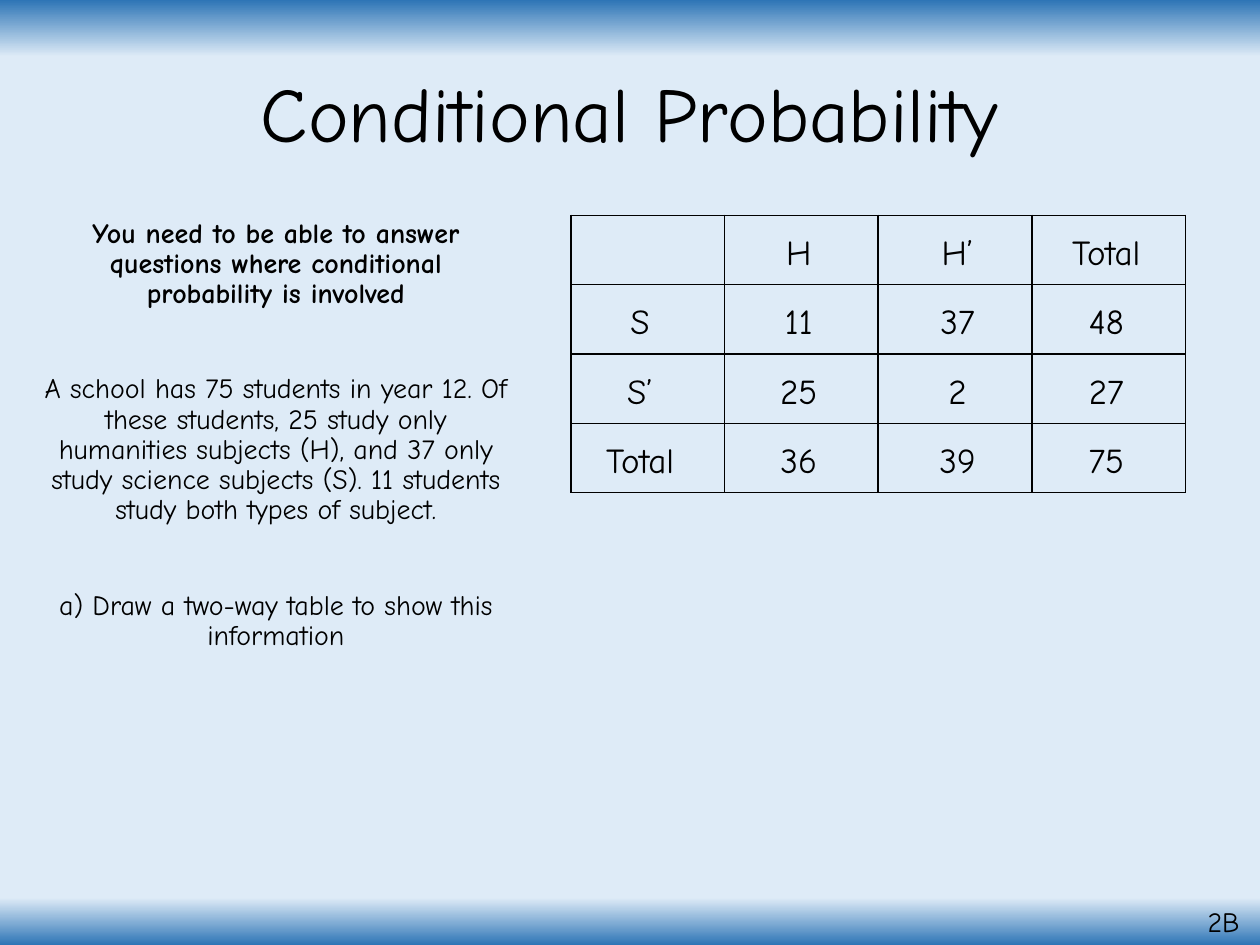
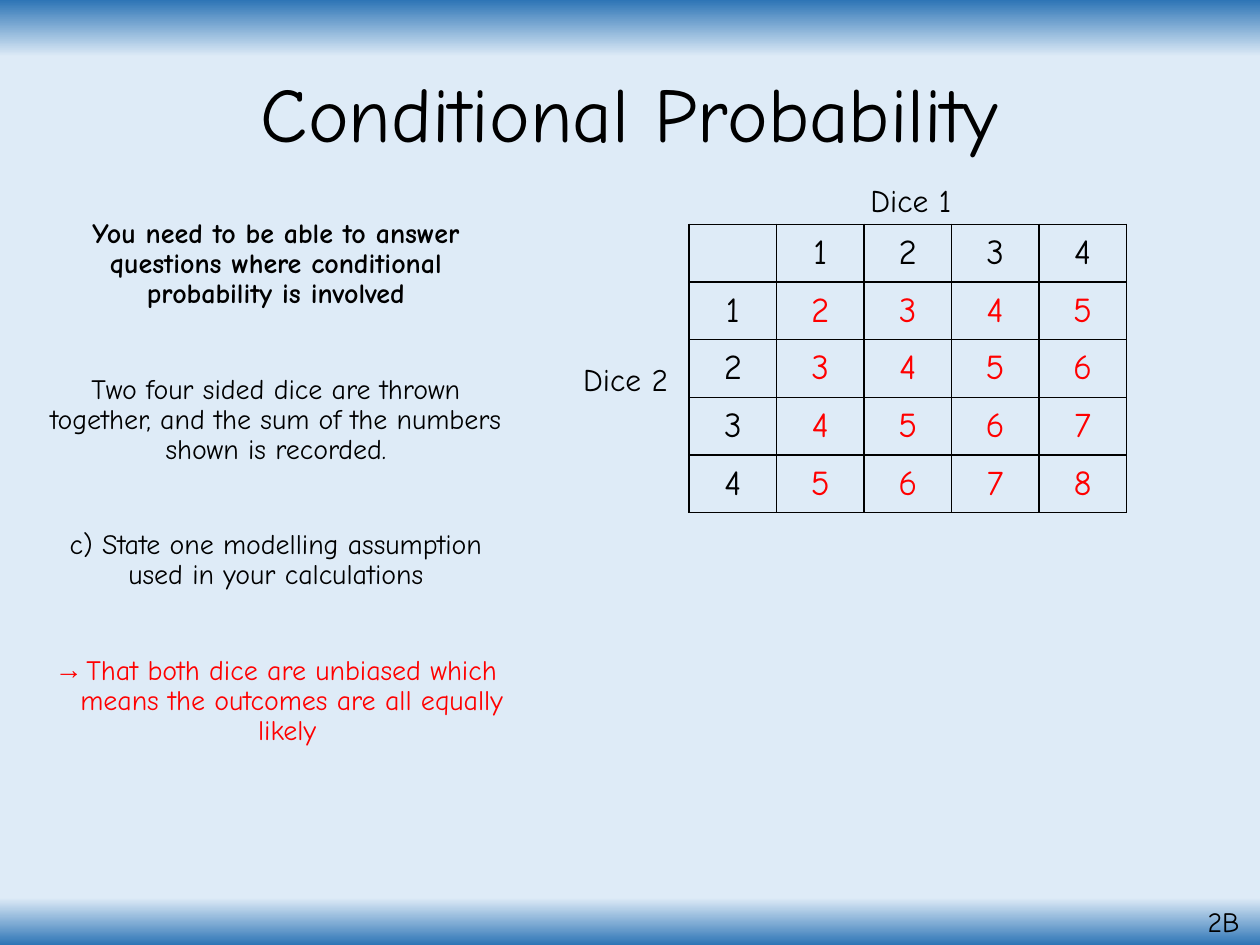
from dataclasses import dataclass

from lxml import etree
from pptx import Presentation
from pptx.dml.color import RGBColor
from pptx.enum import text as t
from pptx.oxml import ns
from pptx.util import Inches, Pt


@dataclass(frozen=True)
class Theme:
    font: str = "Comic Neue"
    bullet_font: str = "Arial"
    ink: str = "000000"
    answer: str = "FF0000"
    edge: str = "2E75B6"
    page: str = "DEEBF7"
    title: int = 44
    cell: int = 20
    label: int = 18
    body: int = 16
    line_spacing: float = 0.9
    first_gap: float = 10
    para_gap: float = 37.2
    border: float = 1


THEME = Theme()
CENTER, LEFT = t.PP_ALIGN.CENTER, t.PP_ALIGN.LEFT


@dataclass(frozen=True)
class Box:
    left: float
    top: float
    width: float
    height: float

    def emu(self) -> list:
        return [Inches(v) for v in (self.left, self.top, self.width, self.height)]


@dataclass(frozen=True)
class Para:
    text: str
    size: int = THEME.body
    bold: bool = False
    color: str = THEME.ink
    align: t.PP_ALIGN = CENTER
    bullet: str = ""


@dataclass(frozen=True)
class Grid:
    box: Box
    rows: list
    value_color: str = THEME.ink


@dataclass(frozen=True)
class Label:
    box: Box
    para: Para
    wrap: bool = False


@dataclass(frozen=True)
class Lesson:
    question: list
    body_height: float
    grid: Grid
    labels: list


def sub(parent, tag: str, **attrs):
    return etree.SubElement(parent, ns.qn(tag), attrs)


def set_format(obj, values: dict) -> None:
    for name, value in values.items():
        setattr(obj, name, value)


def write(p, para: Para, **spacing) -> None:
    set_format(p, {"alignment": para.align, **spacing})
    r = p.add_run()
    r.text = para.text
    set_format(r.font, {"name": THEME.font, "size": Pt(para.size), "bold": para.bold})
    r.font.color.rgb = RGBColor.from_string(para.color)
    if para.bullet:
        pPr = p._p.get_or_add_pPr()
        pPr.set("marL", str(Inches(0.25)))
        pPr.set("indent", str(Inches(-0.25)))
        sub(pPr, "a:buFont", typeface=THEME.bullet_font)
        sub(pPr, "a:buChar", char=para.bullet)


def add_text(s, box: Box, paras: list, wrap: bool = True, anchor=t.MSO_ANCHOR.TOP,
             line_spacing: float = THEME.line_spacing, first_gap: float = THEME.first_gap) -> None:
    tf = s.shapes.add_textbox(*box.emu()).text_frame
    set_format(tf, {"word_wrap": wrap, "vertical_anchor": anchor})
    for i, para in enumerate(paras):
        p = tf.add_paragraph() if i else tf.paragraphs[0]
        gap = THEME.para_gap if i else first_gap
        write(p, para, line_spacing=line_spacing, space_before=Pt(gap))


def add_borders(cell) -> None:
    tcPr = cell._tc.get_or_add_tcPr()
    for i, side in enumerate(("a:lnL", "a:lnR", "a:lnT", "a:lnB")):
        ln = sub(tcPr, side, w=str(Pt(THEME.border)))
        sub(sub(ln, "a:solidFill"), "a:srgbClr", val=THEME.ink)
        tcPr.insert(i, ln)  # borders must precede the fill


def add_grid(s, grid: Grid) -> None:
    """Draw a two-way table; cells below and right of the headers use value_color."""
    rows = grid.rows
    table = s.shapes.add_table(len(rows), len(rows[0]), *grid.box.emu()).table
    set_format(table, {"first_row": False, "horz_banding": False})
    for i, row in enumerate(rows):
        for j, value in enumerate(row):
            cell = table.cell(i, j)
            cell.vertical_anchor = t.MSO_ANCHOR.MIDDLE
            cell.fill.background()
            add_borders(cell)
            if value:
                color = grid.value_color if i and j else THEME.ink
                write(cell.text_frame.paragraphs[0], Para(str(value), THEME.cell, color=color))


def entry_labels(rows: list, centers: tuple, top: float, pitch: float) -> list:
    """Place one movable label over each filled position of an empty grid."""
    labels = []
    for i, row in enumerate(rows):
        for center, value in zip(centers, row):
            if value:
                word = str(value)
                width = 1.01 if word == "Total" else 0.79 if word.isdigit() else 0.47
                box = Box(center - width / 2, top + i * pitch, width, 0.44)
                labels.append(Label(box, Para(word, THEME.cell), wrap=True))
    return labels


def set_background(master) -> None:
    fill = master.background.fill
    fill.gradient()
    fill.gradient_angle = 270
    stops = master.element.find(".//" + ns.qn("a:gsLst"))
    stops.clear()
    for pos, color in ((0, THEME.edge), (6, THEME.page), (95, THEME.page), (100, THEME.edge)):
        sub(sub(stops, "a:gs", pos=str(pos * 1000)), "a:srgbClr", val=color)


def add_lesson(prs, lesson: Lesson) -> None:
    s = prs.slides.add_slide(prs.slide_layouts[6])
    add_text(s, Box(0.69, 0.21, 8.62, 1.45), [Para("Conditional Probability", THEME.title)],
             anchor=t.MSO_ANCHOR.MIDDLE, first_gap=0)
    aim = Para("You need to be able to answer questions where conditional probability is involved",
               bold=True)
    add_text(s, Box(0.25, 1.69, 3.88, lesson.body_height), [aim, *lesson.question])
    add_text(s, Box(9.42, 7.16, 0.58, 0.34), [Para("2B")])
    add_grid(s, lesson.grid)
    for label in lesson.labels:
        add_text(s, label.box, [label.para], wrap=label.wrap, line_spacing=1.0, first_gap=0)


FACES = range(1, 5)
SUBJECT_COUNTS = [
    ["", "H", "H’", "Total"],
    ["S", 11, 37, 48],
    ["S’", 25, 2, 27],
    ["Total", 36, 39, 75],
]

LESSONS = [
    Lesson(
        [Para("A school has 75 students in year 12. Of these students, 25 study only humanities "
              "subjects (H), and 37 only study science subjects (S). 11 students study both "
              "types of subject."),
         Para("a) Draw a two-way table to show this information")],
        5.07,
        Grid(Box(4.53, 1.71, 4.88, 2.2), [[""] * 4] * 4),
        entry_labels(SUBJECT_COUNTS, (5.08, 6.34, 7.6, 8.78), top=1.78, pitch=0.55),
    ),
    Lesson(
        [Para("Two four sided dice are thrown together, and the sum of the numbers shown "
              "is recorded."),
         Para("c) State one modelling assumption used in your calculations"),
         Para("That both dice are unbiased which means the outcomes are all equally likely ",
              color=THEME.answer, bullet="→")],
        5.68,
        Grid(Box(5.47, 1.78, 3.47, 2.29),
             [["", *FACES]] + [[a, *(a + b for b in FACES)] for a in FACES],
             THEME.answer),
        [Label(Box(6.81, 1.39, 0.91, 0.4), Para("Dice 1", THEME.label, align=LEFT)),
         Label(Box(4.53, 2.81, 0.95, 0.4), Para("Dice 2", THEME.label, align=LEFT))],
    ),
]


def main() -> None:
    prs = Presentation()
    set_format(prs, {"slide_width": Inches(10), "slide_height": Inches(7.5)})
    set_background(prs.slide_master)
    for lesson in LESSONS:
        add_lesson(prs, lesson)
    prs.save("out.pptx")


if __name__ == "__main__":
    main()
